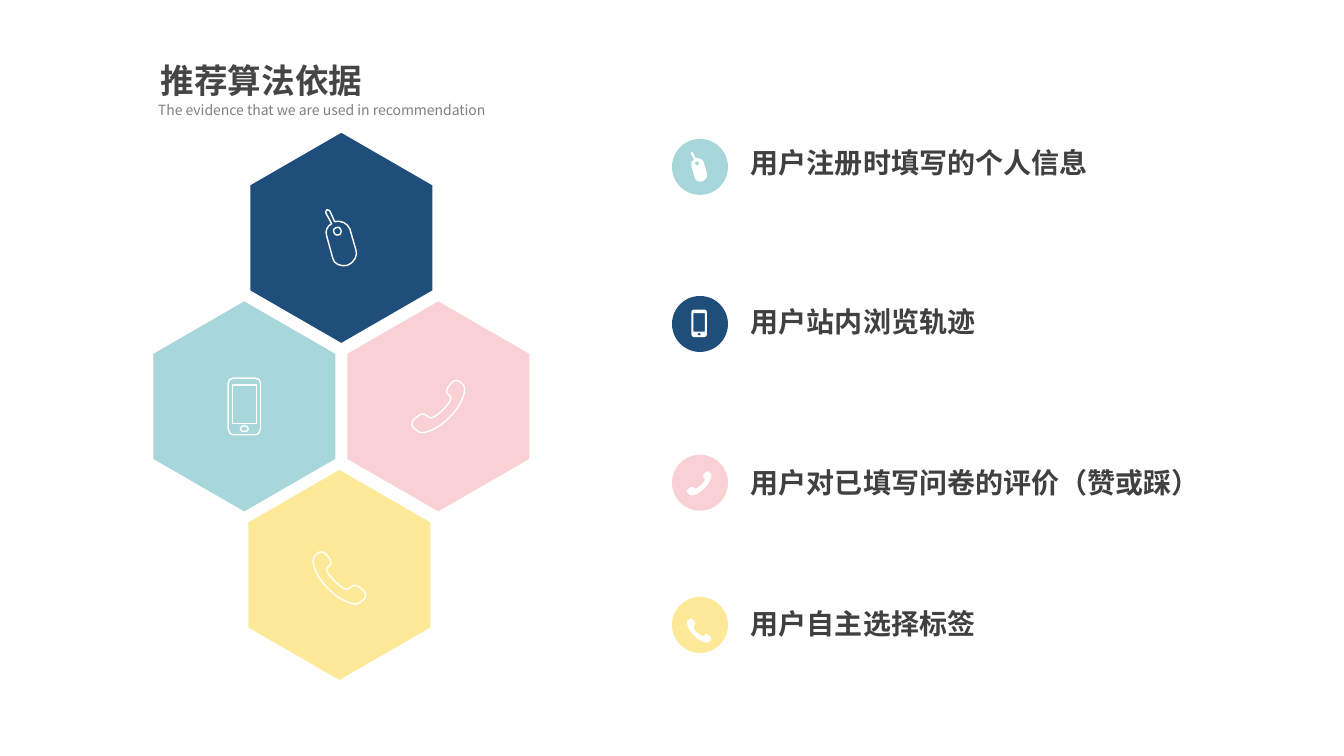
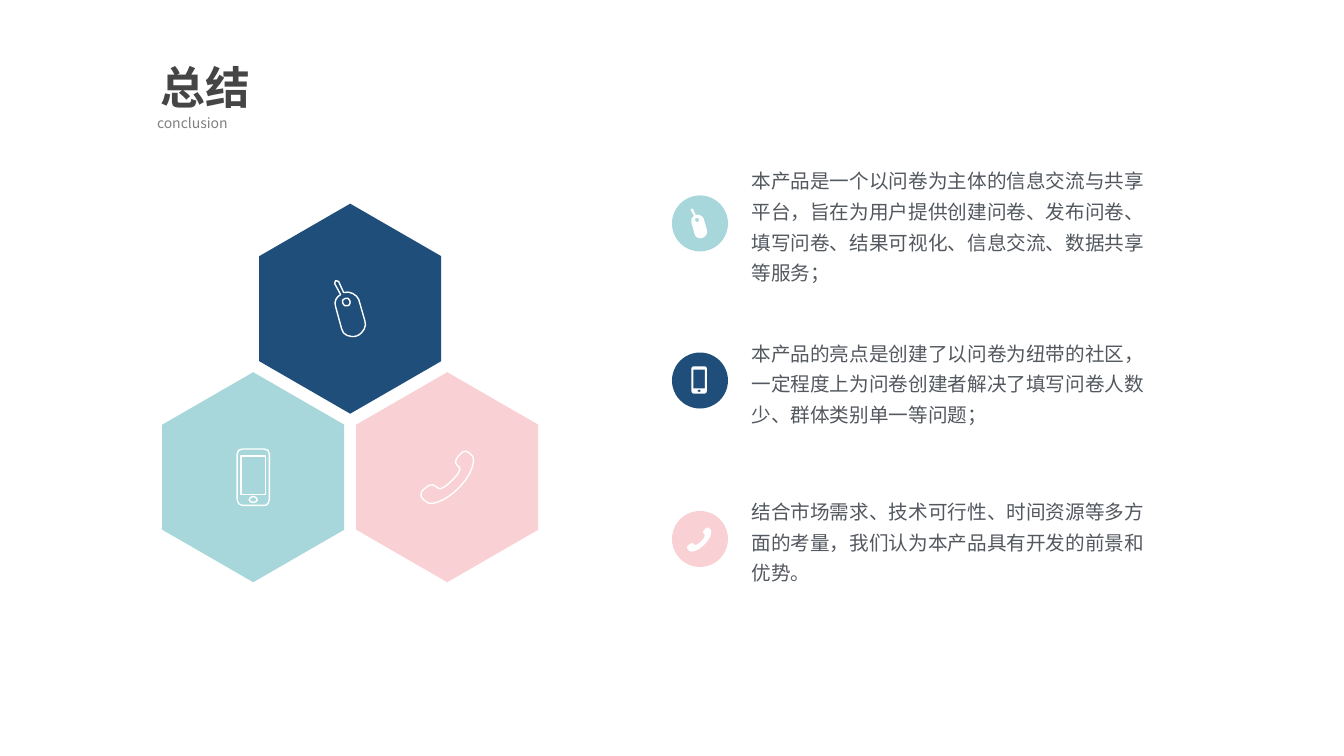
from dataclasses import dataclass

from lxml import etree
from pptx import Presentation
from pptx.dml.color import RGBColor
from pptx.enum.shapes import MSO_SHAPE
from pptx.enum.text import MSO_ANCHOR, MSO_AUTO_SIZE
from pptx.oxml.ns import qn
from pptx.util import Pt

OVAL = MSO_SHAPE.OVAL
MIDDLE = MSO_ANCHOR.MIDDLE
TOP = MSO_ANCHOR.TOP
GROW = MSO_AUTO_SIZE.SHAPE_TO_FIT_TEXT


@dataclass(frozen=True)
class Theme:
    font: str = "Noto Sans CJK SC"
    navy: RGBColor = RGBColor(0x1E, 0x4E, 0x79)
    teal: RGBColor = RGBColor(0xA7, 0xD7, 0xDA)
    pink: RGBColor = RGBColor(0xF9, 0xD1, 0xD4)
    yellow: RGBColor = RGBColor(0xFD, 0xE9, 0x98)
    white: RGBColor = RGBColor(0xFF, 0xFF, 0xFF)
    title: RGBColor = RGBColor(0x45, 0x45, 0x45)
    subtitle: RGBColor = RGBColor(0x80, 0x80, 0x80)
    label: RGBColor = RGBColor(0x40, 0x40, 0x40)
    body: RGBColor = RGBColor(0x53, 0x58, 0x5F)
    subtitle_size: int = 10
    label_size: int = 20
    body_size: int = 14
    icon_line: float = 1


THEME = Theme()


@dataclass(frozen=True)
class Icon:
    """Contours start at a point; then pairs are lines and sextuples are cubic curves."""
    width: float
    height: float
    badge_height: float
    contours: tuple

    def mirrored(self):
        def flip(values):
            return tuple(v if i % 2 else self.width - v for i, v in enumerate(values))
        contours = tuple(tuple(flip(s) for s in contour) for contour in self.contours)
        return Icon(self.width, self.height, self.badge_height, contours)


TAG = Icon(31, 56, 21.4, (
    ((30, 40), (24, 19), (22, 14, 15, 10, 9, 12), (4, 1), (3, 0, 2, 0, 1, 0),
     (0, 1, 0, 2, 0, 3), (6, 14), (2, 16, -1, 21, 1, 26), (7, 48),
     (8, 54, 15, 57, 22, 55), (29, 52, 32, 45, 30, 40)),
    ((13, 25), (11, 26, 9, 25, 8, 22), (7, 21, 8, 18, 10, 18),
     (13, 17, 15, 18, 15, 20), (16, 21, 15, 25, 13, 25)),
))
MOBILE = Icon(32, 56, 19.6, (
    ((27, 0), (5, 0), (2, 0, 0, 2, 0, 5), (0, 50), (0, 53, 2, 56, 5, 56),
     (27, 56), (30, 56, 32, 53, 32, 50), (32, 5), (32, 2, 30, 0, 27, 0)),
    ((16, 53), (14, 53, 12, 52, 12, 50.5), (12, 49, 14, 47, 16, 47),
     (18, 47, 20, 49, 20, 50.5), (20, 52, 18, 53, 16, 53)),
    ((28, 45), (4, 45), (4, 7), (28, 7)),
))
HANDSET = Icon(52, 52, 17.4, (
    ((30, 30), (25, 35, 19, 39, 17, 37), (13, 34, 11, 31, 4, 37),
     (-4, 43, 1, 48, 5, 50), (8, 55, 23, 51, 37, 37), (51, 23, 54, 9, 51, 5),
     (47, 1, 44, -3, 38, 4), (32, 11, 34, 13, 38, 16), (40, 19, 36, 24, 30, 30)),
))
HANDSET_LEFT = HANDSET.mirrored()
HEXAGON = (((0.5, 0), (1, 0.25), (1, 0.75), (0.5, 1), (0, 0.75), (0, 0.25)),)

HEX_WIDTH, HEX_HEIGHT = 130, 150
HEX_COLUMN, HEX_ROW = 138.6, 120.4
HEX_ICON_SCALE = 0.72
# column, row, fill, icon, icon drop below the centre
HEX_CELLS = (
    (0.5, 0, THEME.navy, TAG, 0),
    (0, 1, THEME.teal, MOBILE, 0),
    (1, 1, THEME.pink, HANDSET, 0),
    (0.49, 2, THEME.yellow, HANDSET_LEFT, 2),
)

BADGE_LEFT, BADGE_SIZE = 480, 40
# fill, icon, icon drop below the centre
BADGES = (
    (THEME.teal, TAG, 0),
    (THEME.navy, MOBILE, -0.4),
    (THEME.pink, HANDSET, 0.4),
    (THEME.yellow, HANDSET_LEFT, 4),
)
LABEL_LEFT, LABEL_HEIGHT, LABEL_SLACK = 534.2, 28, 2.5
BODY_LEFT, BODY_WIDTH, BODY_SPACING = 534.6, 290.2, 1.3
TEXT_INSET = 2.16


def paint(shape, fill=None, line=None):
    shape.shadow.inherit = False
    if fill is None:
        shape.fill.background()
    else:
        shape.fill.solid()
        shape.fill.fore_color.rgb = fill
    if line is None:
        shape.line.fill.background()
    else:
        shape.line.color.rgb = line
        shape.line.width = Pt(THEME.icon_line)


def bend(line_to, points):
    """Turn a straight path step into a cubic curve."""
    curve = etree.Element(qn("a:cubicBezTo"))
    for x, y in points:
        etree.SubElement(curve, qn("a:pt"), x=str(x), y=str(y))
    line_to.getparent().replace(line_to, curve)


def add_outline(slide, left, top, scale_x, scale_y, contours, fill=None, line=None):
    def place(segment):
        return [(Pt(left + x * scale_x), Pt(top + y * scale_y))
                for x, y in zip(segment[::2], segment[1::2])]

    builder = None
    steps = []
    for contour in contours:
        start, *segments = [place(segment) for segment in contour]
        if builder is None:
            builder = slide.shapes.build_freeform(*start[0])
        else:
            builder.move_to(*start[0])
        builder.add_line_segments([segment[-1] for segment in segments], close=True)
        steps += segments
    shape = builder.convert_to_shape()
    for line_to, points in zip(list(shape._element.iter(qn("a:lnTo"))), steps):
        if len(points) == 3:
            bend(line_to, [(x - shape.left, y - shape.top) for x, y in points])
    paint(shape, fill, line)


def add_icon(slide, icon, center_x, center_y, scale, fill=None, line=None):
    add_outline(slide, center_x - icon.width * scale / 2,
                center_y - icon.height * scale / 2, scale, scale,
                icon.contours, fill, line)


def add_text(slide, left, top, width, height, text, size, color,
             bold=False, anchor=TOP, inset=None, wrap=True, spacing=None):
    box = slide.shapes.add_textbox(Pt(left), Pt(top), Pt(width), Pt(height))
    frame = box.text_frame
    frame.word_wrap = wrap
    frame.auto_size = GROW
    frame.vertical_anchor = anchor
    if inset is not None:
        frame.margin_left = frame.margin_right = Pt(inset)
        frame.margin_top = frame.margin_bottom = Pt(inset)
    paragraph = frame.paragraphs[0]
    if spacing is not None:
        paragraph.line_spacing = spacing
    run = paragraph.add_run()
    run.text = text
    run.font.size = Pt(size)
    run.font.bold = bold
    run.font.color.rgb = color
    run.font.name = THEME.font
    east_asian = etree.SubElement(run._r.get_or_add_rPr(), qn("a:ea"))
    east_asian.set("typeface", THEME.font)


def add_heading(slide, left, top, title, title_size, title_height, subtitle, indent):
    add_text(slide, left, top, 278.6, title_height, title, title_size,
             THEME.title, bold=True)
    add_text(slide, left + indent, top + title_height - 6.8, 311.8, 19.4, subtitle,
             THEME.subtitle_size, THEME.subtitle)


def add_honeycomb(slide, left, top, count):
    for column, row, fill, icon, drop in HEX_CELLS[:count]:
        x, y = left + column * HEX_COLUMN, top + row * HEX_ROW
        add_outline(slide, x, y, HEX_WIDTH, HEX_HEIGHT, HEXAGON, fill)
        add_icon(slide, icon, x + HEX_WIDTH / 2, y + HEX_HEIGHT / 2 + drop,
                 HEX_ICON_SCALE, line=THEME.white)


def add_badge(slide, left, top, fill, icon, drop):
    circle = slide.shapes.add_shape(OVAL, Pt(left), Pt(top),
                                    Pt(BADGE_SIZE), Pt(BADGE_SIZE))
    paint(circle, fill)
    add_icon(slide, icon, left + BADGE_SIZE / 2 - 0.6, top + BADGE_SIZE / 2 + drop,
             icon.badge_height / icon.height, fill=THEME.white)


def build_basis_slide(slide):
    add_heading(slide, 107.7, 39.5, "推荐算法依据", 24, 36,
                "The evidence that we are used in recommendation", -1.9)
    add_honeycomb(slide, 109.5, 94.9, 4)
    # badge top, label shift from the badge centre, label
    rows = (
        (99.2, -3, "用户注册时填写的个人信息"),
        (211.4, -2, "用户站内浏览轨迹"),
        (324.8, 0, "用户对已填写问卷的评价（赞或踩）"),
        (426.4, -1, "用户自主选择标签"),
    )
    for badge, (top, shift, label) in zip(BADGES, rows):
        add_badge(slide, BADGE_LEFT, top, *badge)
        width = len(label) * THEME.label_size + 2 * TEXT_INSET + LABEL_SLACK
        add_text(slide, LABEL_LEFT, top + (BADGE_SIZE - LABEL_HEIGHT) / 2 + shift,
                 width, LABEL_HEIGHT, label, THEME.label_size, THEME.label,
                 bold=True, anchor=MIDDLE, inset=TEXT_INSET, wrap=False)


def build_conclusion_slide(slide):
    add_heading(slide, 107.7, 39.2, "总结", 32, 46, "conclusion", -2.6)
    add_honeycomb(slide, 115.9, 145.5, 3)
    # badge top, text height, text
    rows = (
        (139.6, 92.2, "本产品是一个以问卷为主体的信息交流与共享平台，旨在为用户提供创建问卷、"
                      "发布问卷、填写问卷、结果可视化、信息交流、数据共享等服务；"),
        (251.8, 69.8, "本产品的亮点是创建了以问卷为纽带的社区，一定程度上为问卷创建者解决了"
                      "填写问卷人数少、群体类别单一等问题；"),
        (365, 69.8, "结合市场需求、技术可行性、时间资源等多方面的考量，我们认为本产品具有"
                    "开发的前景和优势。"),
    )
    for badge, (top, height, text) in zip(BADGES, rows):
        add_badge(slide, BADGE_LEFT, top, *badge)
        add_text(slide, BODY_LEFT, top + (BADGE_SIZE - height) / 2, BODY_WIDTH, height,
                 text, THEME.body_size, THEME.body, anchor=MIDDLE,
                 inset=TEXT_INSET, spacing=BODY_SPACING)


def main():
    deck = Presentation()
    deck.slide_width, deck.slide_height = Pt(960), Pt(540)
    blank = deck.slide_layouts[6]
    for build in (build_basis_slide, build_conclusion_slide):
        build(deck.slides.add_slide(blank))
    deck.save("out.pptx")


if __name__ == "__main__":
    main()
